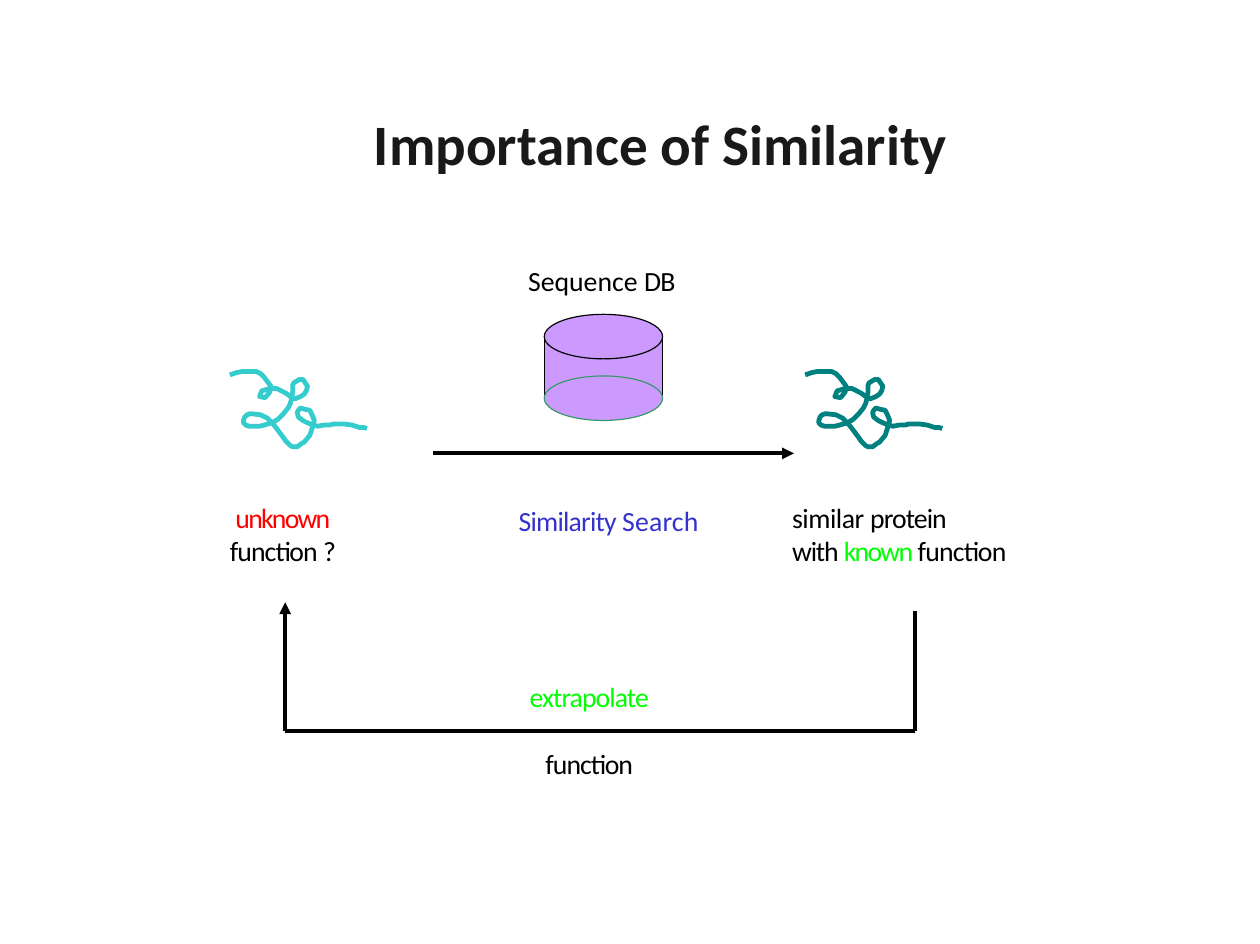
from pptx import Presentation
from pptx.dml.color import RGBColor
from pptx.enum.shapes import MSO_CONNECTOR, MSO_SHAPE
from pptx.enum.text import MSO_ANCHOR, MSO_AUTO_SIZE, PP_ALIGN
from pptx.oxml.ns import qn
from pptx.util import Cm, Pt
from lxml.etree import SubElement

BLACK = RGBColor(0x01, 0x01, 0x01)
TEXT_BLACK = RGBColor(0x00, 0x00, 0x00)
TITLE_GREY = RGBColor(0x19, 0x19, 0x19)
RED = RGBColor(0xFF, 0x00, 0x00)
GREEN = RGBColor(0x00, 0xFF, 0x00)
BLUE = RGBColor(0x33, 0x33, 0xCC)
AQUA = RGBColor(0x34, 0xCC, 0xCC)
TEAL = RGBColor(0x01, 0x80, 0x80)
LILAC = RGBColor(0xCC, 0x99, 0xFF)
SEA_GREEN = RGBColor(0x34, 0x99, 0x67)

# Folded chain, in hundredths of an inch from its top left corner
PROTEIN_CHAIN = [
    (0, 3), (6, 1), (11, 0), (16, 0), (23, 0), (27, 2), (30, 5), (33, 9),
    (36, 13), (35, 18), (31, 23), (26, 22), (28, 17), (35, 15), (41, 15),
    (45, 17), (49, 19), (53, 22), (57, 24), (62, 22), (65, 20), (67, 17),
    (68, 13), (66, 10), (64, 7), (61, 7), (56, 10), (55, 12), (55, 18),
    (54, 24), (53, 28), (51, 32), (47, 37), (42, 42), (37, 45), (30, 47),
    (26, 48), (17, 48), (14, 47), (12, 45), (12, 43), (13, 40), (15, 38),
    (18, 37), (27, 38), (33, 41), (37, 45), (41, 50), (44, 54), (47, 58),
    (49, 61), (51, 63), (53, 65), (55, 66), (59, 66), (63, 63), (65, 62),
    (70, 56), (72, 50), (73, 46), (74, 43), (72, 38), (70, 34), (65, 33),
    (62, 32), (60, 34), (59, 36), (60, 40), (64, 43), (68, 45), (73, 47),
    (77, 48), (82, 47), (87, 47), (91, 46), (100, 46), (107, 47), (110, 48),
    (113, 49), (117, 49), (120, 50),
]


class SlideBuilder:
    font = "Calibri"
    body_size = Pt(17.5)

    def __init__(self, prs):
        self.s = prs.slides.add_slide(prs.slide_layouts[5])

    def frame(self, sp):
        """Return the shape's text frame, without margins and top anchored."""
        tf = sp.text_frame
        tf.margin_left = tf.margin_right = tf.margin_top = tf.margin_bottom = 0
        tf.word_wrap = True
        tf.auto_size = MSO_AUTO_SIZE.NONE
        tf.vertical_anchor = MSO_ANCHOR.TOP
        return tf

    def format_run(self, r, size, color, bold=False):
        r.font.name = self.font
        r.font.size = size
        r.font.bold = bold
        r.font.color.rgb = color

    def title(self, text, x, y, w, h):
        sp = self.s.shapes.title
        sp.left, sp.top, sp.width, sp.height = Cm(x), Cm(y), Cm(w), Cm(h)
        tf = self.frame(sp)
        tf.text = text
        tf.paragraphs[0].alignment = PP_ALIGN.CENTER
        self.format_run(tf.paragraphs[0].runs[0], Pt(36), TITLE_GREY, True)

    def label(self, lines, x, y, w, h, align=PP_ALIGN.LEFT, gap=0):
        """Each line is a list of (text, colour, letter spacing in points)."""
        tf = self.frame(self.s.shapes.add_textbox(Cm(x), Cm(y), Cm(w), Cm(h)))
        for i, line in enumerate(lines):
            p = tf.add_paragraph() if i else tf.paragraphs[0]
            p.alignment = align
            if i:
                p.space_before = Pt(gap)
            for text, color, spacing in line:
                r = p.add_run()
                r.text = text
                self.format_run(r, self.body_size, color)
                r._r.get_or_add_rPr().set("spc", str(round(spacing * 100)))

    def shape(self, kind, x, y, w, h, fill, line):
        sp = self.s.shapes.add_shape(kind, Cm(x), Cm(y), Cm(w), Cm(h))
        sp.shadow.inherit = False
        sp.fill.solid()
        sp.fill.fore_color.rgb = fill
        sp.line.color.rgb = line
        sp.line.width = Pt(0.75)

    def protein(self, x, y, color):
        builder = self.s.shapes.build_freeform(*PROTEIN_CHAIN[0], scale=Cm(2.54) / 100)
        builder.add_line_segments(PROTEIN_CHAIN[1:], close=False)
        sp = builder.convert_to_shape(Cm(x), Cm(y))
        sp.shadow.inherit = False
        sp.fill.background()
        sp.line.color.rgb = color
        sp.line.width = Pt(3)

    def line(self, start, end, arrow=False):
        ends = [Cm(v) for v in (*start, *end)]
        cxn = self.s.shapes.add_connector(MSO_CONNECTOR.STRAIGHT, *ends)
        cxn.line.color.rgb = BLACK
        cxn.line.width = Pt(2.5)
        if arrow:
            ln = cxn.line._get_or_add_ln()
            SubElement(ln, qn("a:tailEnd"), type="triangle")
        SubElement(cxn._element.spPr, qn("a:effectLst"))


def main():
    prs = Presentation()
    prs.slide_width, prs.slide_height = Cm(28.01), Cm(20.99)
    slide = SlideBuilder(prs)
    slide.title("Importance of Similarity", 4.44, 2.42, 20.5, 1.75)

    slide.protein(5.11, 8.26, AQUA)
    slide.protein(17.9, 8.26, TEAL)

    # Database cylinder
    slide.shape(MSO_SHAPE.RECTANGLE, 12.1, 7.49, 2.63, 1.37, LILAC, BLACK)
    slide.shape(MSO_SHAPE.OVAL, 12.1, 6.99, 2.63, 0.99, LILAC, BLACK)
    slide.shape(MSO_SHAPE.OVAL, 12.1, 8.36, 2.63, 0.99, LILAC, SEA_GREEN)

    slide.line((9.63, 10.08), (17.65, 10.08), arrow=True)

    # Way back from the known to the unknown protein
    corners = [(20.35, 13.59), (20.35, 16.26), (6.34, 16.26), (6.34, 13.39)]
    for i, (start, end) in enumerate(zip(corners, corners[1:])):
        slide.line(start, end, arrow=i == 2)

    slide.label([[("Sequence ", TEXT_BLACK, 0), ("DB", TEXT_BLACK, -0.6)]],
                11.74, 5.87, 4.32, 0.79)
    slide.label([[("Similarity ", BLUE, -0.5), ("Search", BLUE, 0.1)]],
                11.53, 11.21, 4.6, 0.79)
    slide.label([[("unknown", RED, -1.1)],
                 [("function ", TEXT_BLACK, -0.6), ("?", TEXT_BLACK, 0)]],
                4.98, 11.13, 2.62, 1.55, PP_ALIGN.CENTER)
    slide.label([[("similar ", TEXT_BLACK, -0.3), ("protein", TEXT_BLACK, -0.6)],
                 [("with ", TEXT_BLACK, -0.75), ("known ", GREEN, -1.1),
                  ("function", TEXT_BLACK, -0.5)]],
                17.61, 11.13, 5.16, 1.55)
    slide.label([[("extrapolate", GREEN, -0.6)], [("function", TEXT_BLACK, -0.6)]],
                11.64, 15.12, 2.92, 2.3, PP_ALIGN.CENTER, gap=21.4)

    prs.save("out.pptx")


if __name__ == "__main__":
    main()
